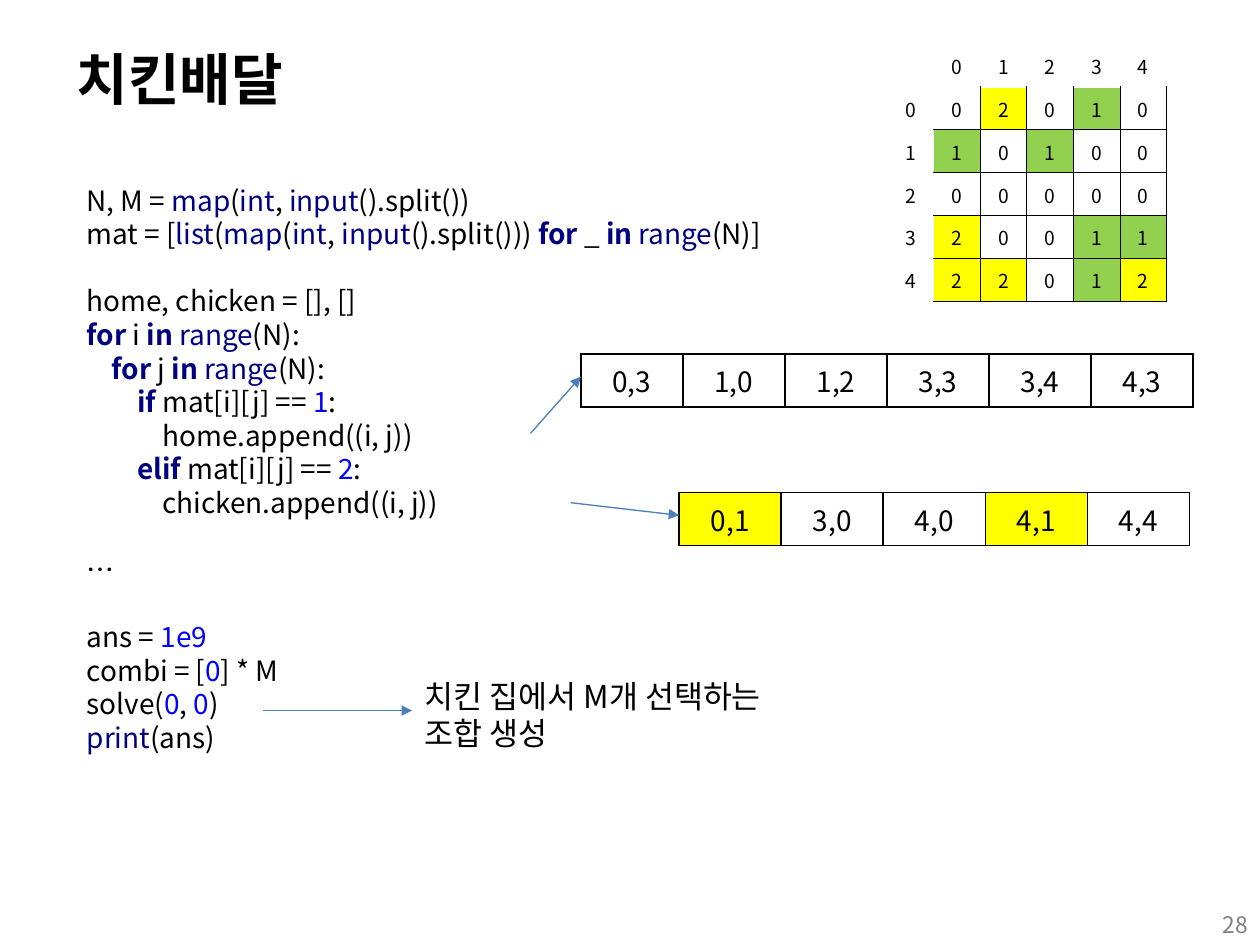
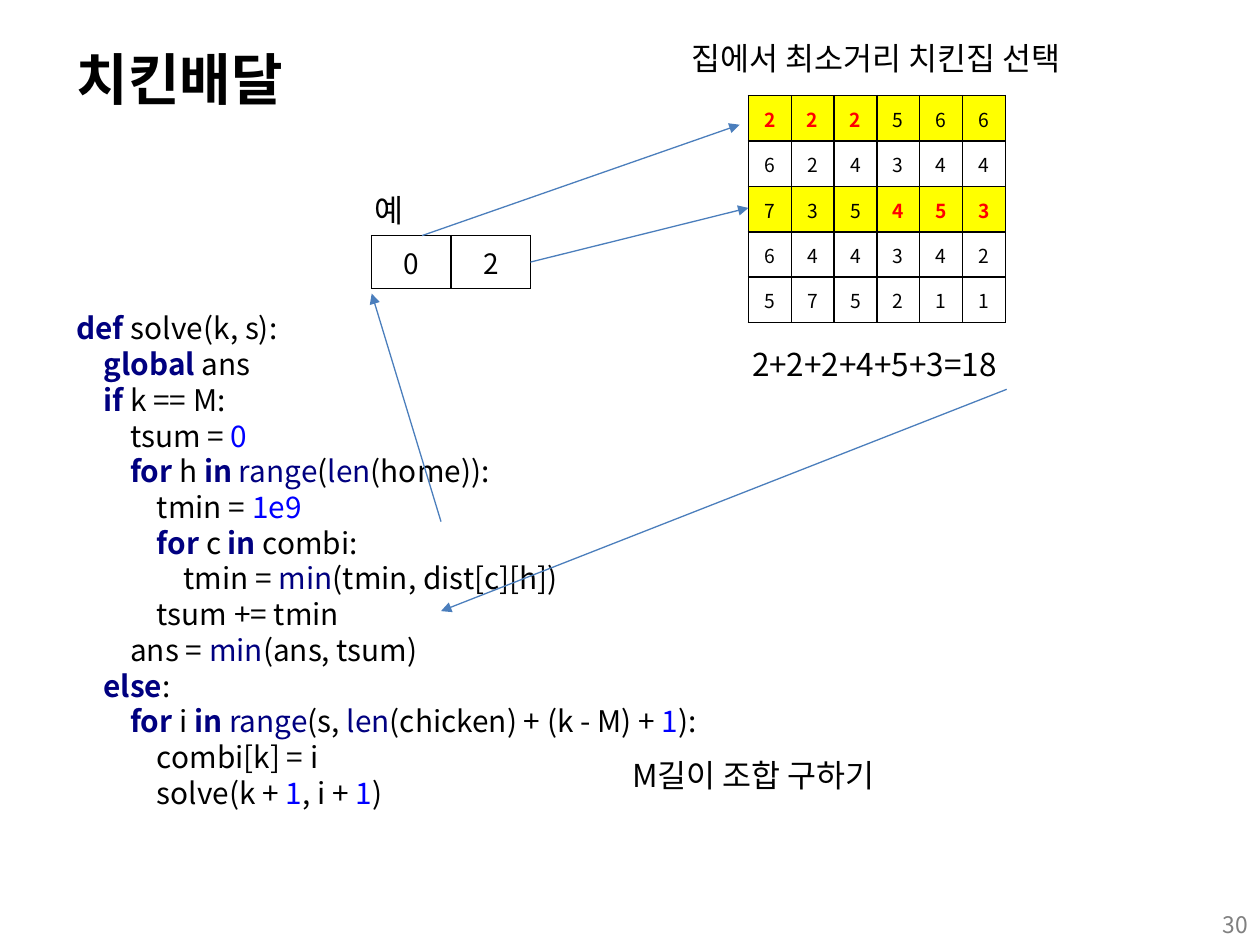
from dataclasses import dataclass
from itertools import groupby

from lxml import etree
from pptx import Presentation
from pptx.dml.color import RGBColor
from pptx.enum.shapes import MSO_CONNECTOR, MSO_SHAPE
from pptx.enum.text import MSO_ANCHOR, PP_ALIGN
from pptx.oxml.ns import qn
from pptx.util import Inches, Pt

LEFT, CENTER, RIGHT = PP_ALIGN.LEFT, PP_ALIGN.CENTER, PP_ALIGN.RIGHT
TOP, MIDDLE = MSO_ANCHOR.TOP, MSO_ANCHOR.MIDDLE
RECTANGLE, STRAIGHT = MSO_SHAPE.RECTANGLE, MSO_CONNECTOR.STRAIGHT
TITLE_ONLY = 5


@dataclass(frozen=True)
class Theme:
    font: str = "Noto Sans CJK KR"
    text: str = "000000"
    paper: str = "FFFFFF"
    keyword: str = "000080"
    number: str = "0000FF"
    minimum: str = "FF0000"
    yellow: str = "FFFF00"
    green: str = "92D050"
    arrow: str = "4B7EBC"
    page: str = "808080"
    title_size: int = 32
    caption_size: int = 18
    list_size: int = 16
    page_size: int = 13
    grid_size: int = 11
    line_height: float = 1.2


theme = Theme()
KEYWORDS = {"def", "global", "if", "elif", "else", "for", "in"}
BUILTINS = {"map", "int", "input", "list", "range", "print", "len", "min"}

# Code listings
READ_CODE = """\
N, M = map(int, input().split())
mat = [list(map(int, input().split())) for _ in range(N)]

home, chicken = [], []
for i in range(N):
    for j in range(N):
        if mat[i][j] == 1:
            home.append((i, j))
        elif mat[i][j] == 2:
            chicken.append((i, j))

…

ans = 1e9
combi = [0] * M
solve(0, 0)
print(ans)"""

SOLVE_CODE = """\
def solve(k, s):
    global ans
    if k == M:
        tsum = 0
        for h in range(len(home)):
            tmin = 1e9
            for c in combi:
                tmin = min(tmin, dist[c][h])
            tsum += tmin
        ans = min(ans, tsum)
    else:
        for i in range(s, len(chicken) + (k - M) + 1):
            combi[k] = i
            solve(k + 1, i + 1)"""

# City map: houses are 1, chicken shops are 2
city = [[0, 2, 0, 1, 0], [1, 0, 1, 0, 0], [0, 0, 0, 0, 0], [2, 0, 0, 1, 1], [2, 2, 0, 1, 2]]
city_rows = [["", *range(5)]] + [[index, *row] for index, row in enumerate(city)]
city_fills = {(r + 1, c + 1): {1: theme.green, 2: theme.yellow}[value]
              for r, row in enumerate(city) for c, value in enumerate(row) if value}
homes, shops = [[f"{r},{c}" for r, row in enumerate(city) for c, value in enumerate(row)
                 if value == kind] for kind in (1, 2)]

# Distances from each shop (row) to each house (column)
distances = [[2, 2, 2, 5, 6, 6], [6, 2, 4, 3, 4, 4], [7, 3, 5, 4, 5, 3],
             [6, 4, 4, 3, 4, 2], [5, 7, 5, 2, 1, 1]]
chosen = [0, 2]
chosen_fills = {(r, c): theme.yellow for r in chosen for c in range(6)}
nearest = {(min(chosen, key=lambda r: distances[r][c]), c) for c in range(6)}

# Tables: left, top, column width, row height, size, border, headers, rows, fills, red cells
# Captions: left, top, width, height, text
# Arrows: from x, from y, to x, to y
pages = [
    dict(
        number="28", code=READ_CODE, code_box=(0.59, 1.38, 7.08, 4.68), code_size=16,
        tables=[
            (4.61, 2.81, 0.81, 0.37, theme.list_size, 1, 0, [homes], {}, ()),
            (7.04, 0.35, 0.37, 0.34, theme.grid_size, 0.5, 1, city_rows, city_fills, ()),
            (5.39, 3.91, 0.81, 0.37, theme.list_size, 1, 0, [shops],
             {(0, 0): theme.yellow, (0, 3): theme.yellow}, ()),
        ],
        captions=[(3.27, 5.32, 3.31, 0.71, "치킨 집에서 M개 선택하는 조합 생성")],
        arrows=[(4.21, 3.44, 4.61, 2.99), (4.53, 3.99, 5.39, 4.09), (2.09, 5.64, 3.27, 5.64)],
    ),
    dict(
        number="30", code=SOLVE_CODE, code_box=(0.51, 2.39, 9.25, 4.11), code_size=17,
        tables=[
            (2.95, 1.87, 0.63, 0.41, theme.list_size, 1, 0, [chosen], {}, ()),
            (5.94, 0.76, 0.34, 0.36, theme.grid_size, 1, 0, distances, chosen_fills, nearest),
        ],
        captions=[
            (4.92, 5.95, 2.44, 0.4, "M길이 조합 구하기"),
            (2.87, 1.47, 0.39, 0.4, "예"),
            (5.87, 2.69, 2.52, 0.4, "2+2+2+4+5+3=18"),
            (5.39, 0.26, 4.13, 0.4, "집에서 최소거리 치킨집 선택"),
        ],
        arrows=[(3.5, 4.14, 2.95, 2.33), (3.35, 1.87, 5.87, 0.99),
                (4.21, 2.08, 5.94, 1.65), (7.99, 3.09, 3.5, 4.85)],
    ),
]


def style_paragraph(paragraph, size, color=theme.text, align=LEFT, bold=False):
    paragraph.alignment = align
    font = paragraph.font
    font.name, font.size, font.bold = theme.font, Pt(size), bold
    font.color.rgb = RGBColor.from_string(color)
    defaults = paragraph._p.pPr.find(qn("a:defRPr"))
    etree.SubElement(defaults, qn("a:ea")).set("typeface", theme.font)


def set_borders(cell, width):
    properties = cell._tc.get_or_add_tcPr()
    for position, side in enumerate(("a:lnL", "a:lnR", "a:lnT", "a:lnB")):
        line = etree.Element(qn(side), w=str(Pt(width)))
        fill = etree.SubElement(line, qn("a:solidFill"))
        etree.SubElement(fill, qn("a:srgbClr")).set("val", theme.text)
        properties.insert(position, line)


presentation = Presentation()
presentation.slide_width, presentation.slide_height = Inches(10), Inches(7.5)

for page in pages:
    slide = presentation.slides.add_slide(presentation.slide_layouts[TITLE_ONLY])
    shapes = slide.shapes

    # Title
    title = shapes.title
    title.left, title.top, title.width, title.height = map(Inches, (0.51, 0.3, 9.55, 0.87))
    title.text_frame.text = "치킨배달"
    title.text_frame.vertical_anchor = TOP
    style_paragraph(title.text_frame.paragraphs[0], theme.title_size, bold=True)

    # Code with one paragraph a line, indented by level
    code = shapes.add_shape(RECTANGLE, *map(Inches, page["code_box"]))
    code.shadow.inherit = False
    code.fill.solid()
    code.fill.fore_color.rgb = RGBColor.from_string(theme.paper)
    code.line.fill.background()
    frame = code.text_frame
    frame.word_wrap, frame.vertical_anchor = True, MIDDLE
    size = page["code_size"]
    paragraph, after_gap = frame.paragraphs[0], False
    for number, line in enumerate(page["code"].splitlines()):
        if not line:
            after_gap = True
            continue
        if number:
            paragraph = frame.add_paragraph()
        style_paragraph(paragraph, size)
        if after_gap:
            paragraph.space_before = Pt(size * theme.line_height)
            after_gap = False
        statement = line.lstrip()
        level = (len(line) - len(statement)) // 4
        paragraph._p.pPr.set("marL", str(Inches(level * size / 80)))
        for _, letters in groupby(statement, lambda letter: letter.isalnum() or letter == "_"):
            run = paragraph.add_run()
            run.text = word = "".join(letters)
            if word in KEYWORDS:
                run.font.bold = True
            if word in KEYWORDS | BUILTINS:
                run.font.color.rgb = RGBColor.from_string(theme.keyword)
            elif word[0].isdigit():
                run.font.color.rgb = RGBColor.from_string(theme.number)

    # Tables
    for left, top, column, height, size, border, headers, rows, fills, red in page["tables"]:
        columns = len(rows[0])
        table = shapes.add_table(len(rows), columns, Inches(left), Inches(top),
                                 Inches(column * columns), Inches(height * len(rows))).table
        table.first_row = table.horz_banding = False
        for r, row in enumerate(rows):
            table.rows[r].height = Inches(height)
            for c, value in enumerate(row):
                table.columns[c].width = Inches(column)
                cell = table.cell(r, c)
                cell.text = str(value)
                cell.vertical_anchor = MIDDLE
                if size == theme.grid_size:
                    cell.margin_left = cell.margin_right = cell.margin_top = Inches(0.01)
                    cell.margin_bottom = 0
                cell.fill.solid()
                cell.fill.fore_color.rgb = RGBColor.from_string(fills.get((r, c), theme.paper))
                is_red = (r, c) in red
                style_paragraph(cell.text_frame.paragraphs[0], size,
                                theme.minimum if is_red else theme.text, CENTER, is_red)
                if r >= headers and c >= headers:
                    set_borders(cell, border)

    # Captions and page number
    labels = [(*caption, theme.caption_size, theme.text, LEFT) for caption in page["captions"]]
    labels.append((7.67, 7.18, 2.33, 0.4, page["number"], theme.page_size, theme.page, RIGHT))
    for *box, text, size, color, align in labels:
        label = shapes.add_textbox(*map(Inches, box))
        label.text_frame.word_wrap = True
        label.text_frame.text = text
        style_paragraph(label.text_frame.paragraphs[0], size, color, align)

    # Arrows
    for ends in page["arrows"]:
        arrow = shapes.add_connector(STRAIGHT, *map(Inches, ends))
        arrow.line.color.rgb = RGBColor.from_string(theme.arrow)
        arrow.line.width = Pt(0.75)
        etree.SubElement(arrow.line._get_or_add_ln(), qn("a:tailEnd")).set("type", "triangle")
        etree.SubElement(arrow._element.spPr, qn("a:effectLst"))

presentation.save("out.pptx")
